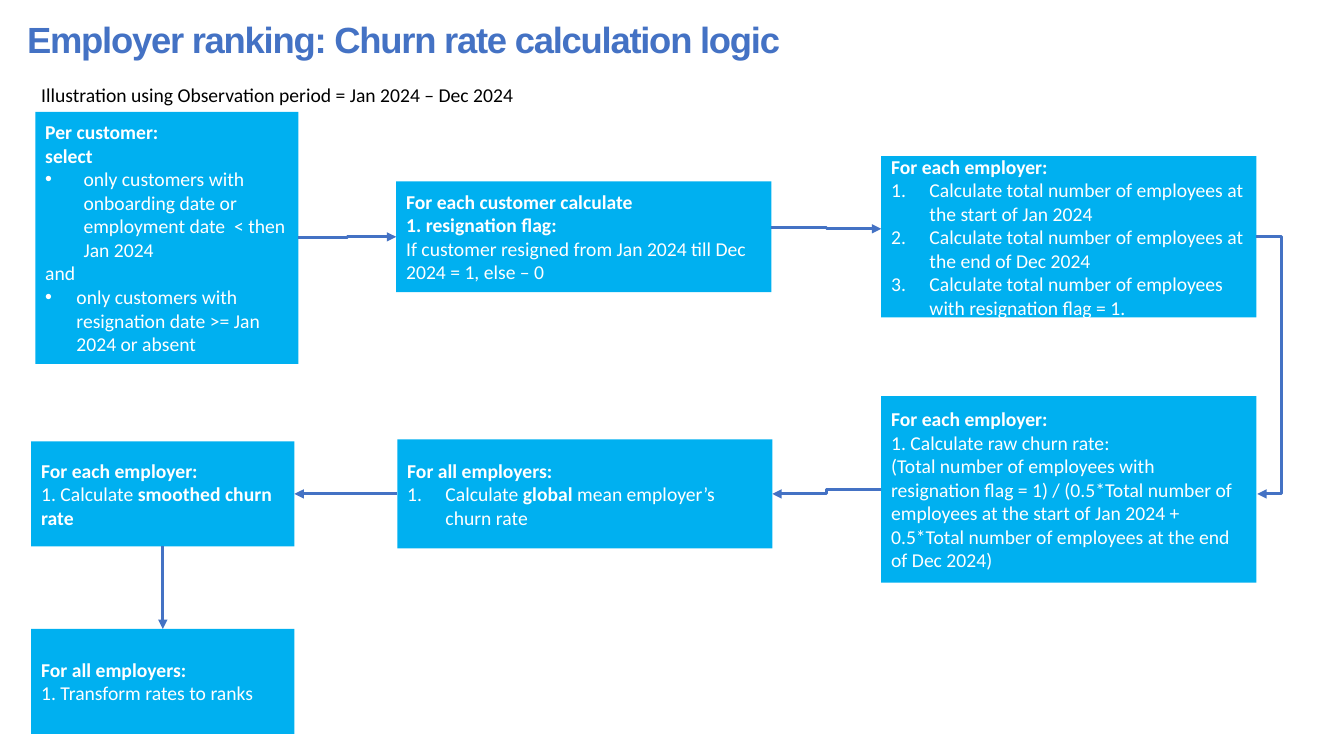
from lxml import etree
from pptx import Presentation
from pptx.dml.color import RGBColor
from pptx.enum.shapes import MSO_CONNECTOR as Connector, MSO_SHAPE as Shape
from pptx.enum.text import MSO_ANCHOR as Anchor, PP_ALIGN as Align
from pptx.oxml.ns import qn
from pptx.util import Inches, Pt

BLUE, SKY, WHITE, BLACK = "4472C4", "00B0F0", "FFFFFF", "000000"
TITLE = "Employer ranking: Churn rate calculation logic"
SUBTITLE = "Illustration using Observation period = Jan 2024 – Dec 2024"

# name: (left, top, width, height), paragraphs as (list marker, hanging indent, runs);
# a run is (text, bold)
BOXES = {
    "select": ((0.35, 1.11, 2.61, 2.5), [
        ("", 0, [("Per customer:", True)]),
        ("", 0, [("select", True)]),
        ("•", 0.38, [("only customers with onboarding date or employment date  < then Jan 2024", False)]),
        ("", 0, [("and", False)]),
        ("•", 0.31, [("only customers with resignation date >= Jan 2024 or absent", False)]),
    ]),
    "flag": ((3.93, 1.8, 3.72, 1.1), [
        ("", 0, [("For each customer calculate", True)]),
        ("", 0, [("1. resignation flag:", True)]),
        ("", 0, [("If customer resigned from Jan 2024 till Dec 2024 = 1, else – 0", False)]),
    ]),
    "totals": ((8.74, 1.55, 3.72, 1.6), [
        ("", 0, [("For each employer:", True)]),
        ("1.", 0.38, [("Calculate total number of employees at the start of Jan 2024", False)]),
        ("1.", 0.38, [("Calculate total number of employees at the end of Dec 2024", False)]),
        ("1.", 0.38, [("Calculate total number of employees with resignation flag = 1.", False)]),
    ]),
    "raw": ((8.74, 3.93, 3.72, 1.85), [
        ("", 0, [("For each employer:", True)]),
        ("", 0, [("1. Calculate raw churn rate:", False)]),
        ("", 0, [("(Total number of employees with resignation flag = 1) / "
                  "(0.5*Total number of employees at the start of Jan 2024 + "
                  "0.5*Total number of employees at the end of Dec 2024)", False)]),
    ]),
    "mean": ((3.94, 4.36, 3.72, 1.08), [
        ("", 0, [("For all employers:", True)]),
        ("1.", 0.38, [("Calculate ", False), ("global", True), (" mean employer’s churn rate", False)]),
    ]),
    "smoothed": ((0.31, 4.38, 2.61, 1.04), [
        ("", 0, [("For each employer:", True)]),
        ("", 0, [("1. Calculate ", False), ("smoothed churn rate", True)]),
    ]),
    "ranks": ((0.31, 6.24, 2.61, 1.04), [
        ("", 0, [("For all employers:", True)]),
        ("", 0, [("1. Transform rates to ranks", False)]),
    ]),
}

TOP, LEFT, BOTTOM, RIGHT = range(4)
GLUED_ARROWS = [
    (Connector.ELBOW, "select", RIGHT, "flag", LEFT),
    (Connector.ELBOW, "raw", LEFT, "mean", RIGHT),
    (Connector.ELBOW, "mean", LEFT, "smoothed", RIGHT),
    (Connector.STRAIGHT, "smoothed", BOTTOM, "ranks", TOP),
]
# from x, from y, to x, to y, x of the bend
FREE_ARROWS = [
    (7.65, 2.26, 8.74, 2.27, 8.2),
    (12.46, 2.35, 12.47, 4.9, 12.71),
]


def color(value):
    return RGBColor.from_string(value)


def add_run(paragraph, text, size, font, value, bold):
    run = paragraph.add_run()
    run.text = text
    run.font.size = Pt(size)
    run.font.name = font
    run.font.bold = bold
    run.font.color.rgb = color(value)
    return run


def add_marker(paragraph, marker, indent):
    """Give the paragraph a hanging bullet or an automatic number."""
    properties = paragraph._p.get_or_add_pPr()
    properties.set("marL", str(Inches(indent)))
    properties.set("indent", str(-Inches(indent)))
    if marker == "•":
        etree.SubElement(properties, qn("a:buFont")).set("typeface", "Arial")
        etree.SubElement(properties, qn("a:buChar")).set("char", marker)
    else:
        etree.SubElement(properties, qn("a:buAutoNum")).set("type", "arabicPeriod")


def add_text(slide, place, text, size, font, value, bold):
    frame = slide.shapes.add_textbox(*map(Inches, place)).text_frame
    frame.word_wrap = True
    return add_run(frame.paragraphs[0], text, size, font, value, bold)


def add_box(slide, place, paragraphs):
    shape = slide.shapes.add_shape(Shape.RECTANGLE, *map(Inches, place))
    shape.shadow.inherit = False
    shape.fill.solid()
    shape.fill.fore_color.rgb = color(SKY)
    shape.line.fill.background()
    frame = shape.text_frame
    frame.word_wrap = True
    frame.vertical_anchor = Anchor.MIDDLE
    for index, (marker, indent, runs) in enumerate(paragraphs):
        paragraph = frame.add_paragraph() if index else frame.paragraphs[0]
        paragraph.alignment = Align.LEFT
        if marker:
            add_marker(paragraph, marker, indent)
        for text, bold in runs:
            add_run(paragraph, text, 14, "Calibri", WHITE, bold)
    return shape


def add_arrow(slide, kind, ends=(0, 0, 0, 0)):
    arrow = slide.shapes.add_connector(kind, *map(Inches, ends))
    arrow.line.color.rgb = color(BLUE)
    arrow.line.width = Pt(2.25)
    etree.SubElement(arrow.line._get_or_add_ln(), qn("a:tailEnd")).set("type", "triangle")
    etree.SubElement(arrow._element.spPr, qn("a:effectLst"))
    return arrow


def main():
    presentation = Presentation()
    presentation.slide_width, presentation.slide_height = Inches(13.33), Inches(7.5)
    slide = presentation.slides.add_slide(presentation.slide_layouts[6])

    title = add_text(slide, (0.17, 0.12, 12.7, 0.54), TITLE, 26, "Arial", BLUE, True)
    title.font._element.set("spc", "-90")
    add_text(slide, (0.31, 0.77, 5.17, 0.34), SUBTITLE, 14, "Calibri", BLACK, False)

    boxes = {name: add_box(slide, *content) for name, content in BOXES.items()}
    for kind, start, start_site, end, end_site in GLUED_ARROWS:
        arrow = add_arrow(slide, kind)
        arrow.begin_connect(boxes[start], start_site)
        arrow.end_connect(boxes[end], end_site)
    for *ends, bend in FREE_ARROWS:
        arrow = add_arrow(slide, Connector.ELBOW, ends)
        share = (bend - ends[0]) / (ends[2] - ends[0])
        guides = arrow._element.spPr.find(qn("a:prstGeom")).find(qn("a:avLst"))
        guide = etree.SubElement(guides, qn("a:gd"))
        guide.set("name", "adj1")
        guide.set("fmla", f"val {round(share * 100000)}")

    presentation.save("out.pptx")


if __name__ == "__main__":
    main()
